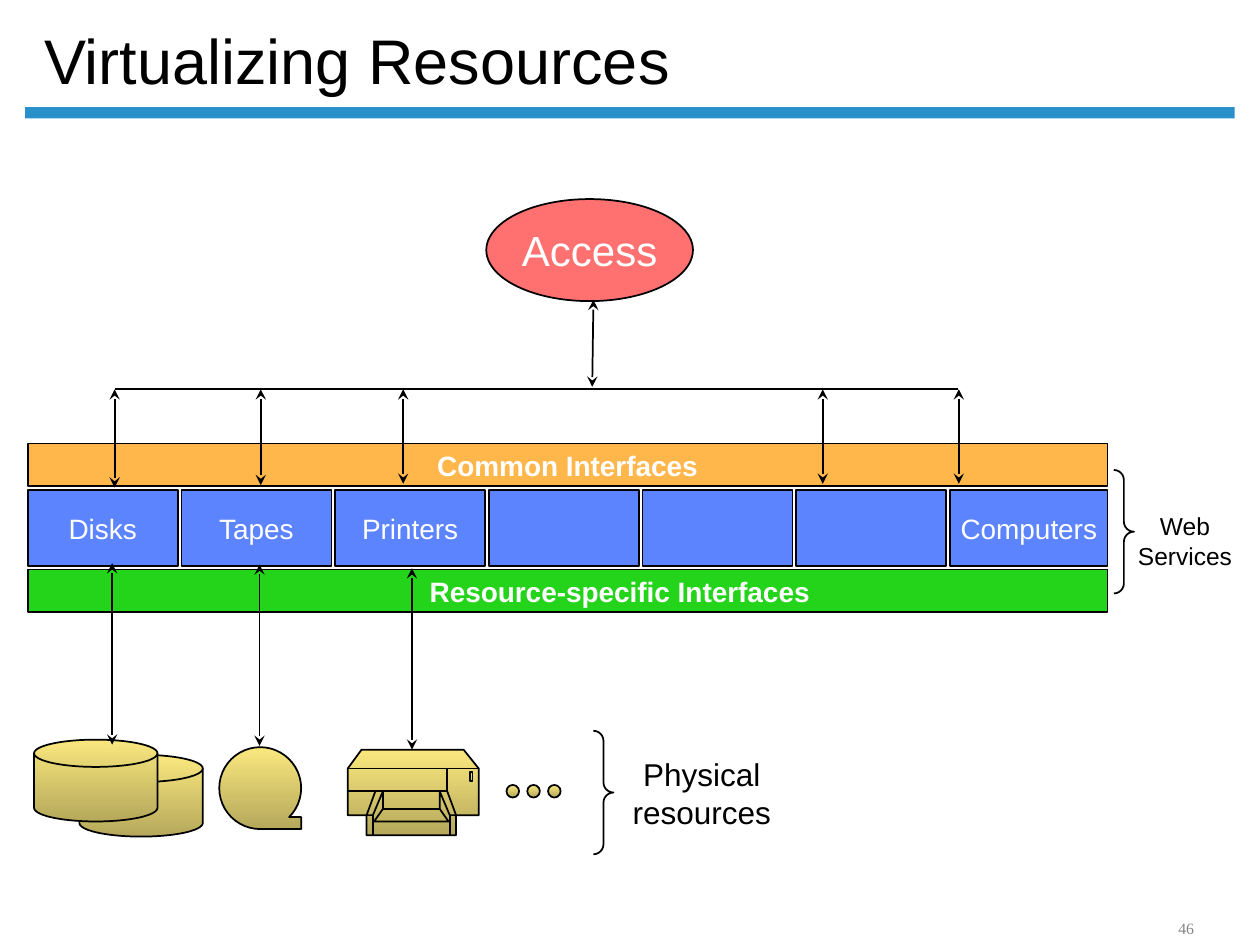
from dataclasses import dataclass
from lxml import etree
from pptx import Presentation
from pptx.dml.color import RGBColor
from pptx.enum.shapes import MSO_CONNECTOR, MSO_SHAPE as Shape
from pptx.enum.text import MSO_ANCHOR as Anchor, PP_ALIGN as Align
from pptx.oxml.ns import qn
from pptx.util import Inches, Pt


@dataclass(frozen=True)
class Theme:
    font: str = "Arial"
    number_font: str = "Times New Roman"
    black: str = "000000"
    white: str = "FFFFFF"
    gray: str = "848589"
    rule: str = "2990CA"
    access: str = "FF7171"
    common: str = "FFB64B"
    resource: str = "5D84FF"
    specific: str = "23D41A"
    device: tuple = ("FAE87E", "B5A85B")
    title_size: int = 36
    access_size: int = 24
    physical_size: int = 18
    label_size: int = 16
    services_size: int = 14
    number_size: int = 9
    line_width: int = 1


def rgb(value):
    return RGBColor.from_string(value)


class Diagram:
    def __init__(self, prs, theme):
        self.theme = theme
        self.slide = prs.slides.add_slide(prs.slide_layouts[5])
        self.shapes = self.slide.shapes

    def set_text(self, sp, text, size, color, bold=False, font=None, align=Align.CENTER,
                 anchor=Anchor.MIDDLE, wrap=True, insets=(0, 0, 0, 0)):
        tf = sp.text_frame
        tf.text = text
        sides = ("margin_left", "margin_top", "margin_right", "margin_bottom")
        frame = dict(zip(sides, map(Inches, insets)), word_wrap=wrap, vertical_anchor=anchor)
        for name, value in frame.items():
            setattr(tf, name, value)
        style = {"name": font or self.theme.font, "size": Pt(size), "bold": bold}
        for p in tf.paragraphs:
            p.alignment = align
            for r in p.runs:
                for name, value in style.items():
                    setattr(r.font, name, value)
                r.font.color.rgb = rgb(color)

    def title(self, text, box):
        sp = self.shapes.title
        for name, value in zip(("left", "top", "width", "height"), box):
            setattr(sp, name, Inches(value))
        self.set_text(sp, text, self.theme.title_size, self.theme.black, align=Align.LEFT,
                      anchor=Anchor.BOTTOM, insets=(0.1, 0.05, 0.1, 0.05))
        sp.text_frame.paragraphs[0].line_spacing = 0.9

    def paint(self, sp, fill, outline=True):
        sp.shadow.inherit = False
        if fill is None:
            sp.fill.background()
        elif isinstance(fill, tuple):
            sp.fill.gradient()
            sp.fill.gradient_angle = 270
            for stop, color in zip(sp.fill.gradient_stops, fill):
                stop.color.rgb = rgb(color)
        else:
            sp.fill.solid()
            sp.fill.fore_color.rgb = rgb(fill)
        if outline:
            sp.line.color.rgb = rgb(self.theme.black)
            sp.line.width = Pt(self.theme.line_width)
        else:
            sp.line.fill.background()

    def shape(self, kind, box, fill=None, outline=True):
        sp = self.shapes.add_shape(kind, *map(Inches, box))
        self.paint(sp, fill, outline)
        return sp

    def label(self, text, box, size, color, **style):
        sp = self.shapes.add_textbox(*map(Inches, box))
        self.set_text(sp, text, size, color, **style)

    def line(self, start, end, arrows=True):
        sp = self.shapes.add_connector(MSO_CONNECTOR.STRAIGHT, *map(Inches, start + end))
        sp.line.color.rgb = rgb(self.theme.black)
        sp.line.width = Pt(self.theme.line_width)
        sp_pr = sp._element.spPr
        if arrows:
            ln = sp_pr.find(qn("a:ln"))
            for tag in ("a:headEnd", "a:tailEnd"):
                etree.SubElement(ln, qn(tag), type="stealth")
        etree.SubElement(sp_pr, qn("a:effectLst"))

    def brace(self, left, top):
        sp = self.shape(Shape.RIGHT_BRACE, (left, top, 0.16, 0.98))
        sp.adjustments[0] = 0.5

    def outline(self, strokes, fill=None, close=False):
        builder = self.shapes.build_freeform(*map(Inches, strokes[0][0]), scale=1.0)
        for i, (start, *rest) in enumerate(strokes):
            if i:
                builder.move_to(*map(Inches, start))
            builder.add_line_segments([tuple(map(Inches, pt)) for pt in rest], close=close)
        self.paint(builder.convert_to_shape(), fill)

    def printer(self):
        body = [(2.87, 5.95), (3.68, 5.95), (3.8, 6.1), (3.8, 6.47), (3.62, 6.47),
                (3.62, 6.63), (2.91, 6.63), (2.91, 6.47), (2.76, 6.47), (2.76, 6.1)]
        details = [
            [(2.76, 6.1), (3.8, 6.1)],
            [(3.55, 6.1), (3.55, 6.28), (2.76, 6.28)],
            [(2.96, 6.47), (2.96, 6.63)],
            [(3.57, 6.47), (3.57, 6.63)],
            [(3.49, 6.42), (3.49, 6.28), (3.57, 6.47), (3.62, 6.47), (3.55, 6.28)],
            [(3.49, 6.42), (3.56, 6.52), (2.97, 6.52), (3.04, 6.42), (3.04, 6.28),
             (2.96, 6.47), (2.91, 6.47), (2.98, 6.28)],
            [(3.73, 6.13), (3.75, 6.13), (3.75, 6.2), (3.73, 6.2), (3.73, 6.13)],
            [(3.04, 6.42), (3.49, 6.42)],
        ]
        self.outline([body], self.theme.device, close=True)
        self.outline(details)


def main():
    prs = Presentation()
    prs.slide_width, prs.slide_height = Inches(10), Inches(7.5)
    t = Theme()
    d = Diagram(prs, t)

    d.shape(Shape.RECTANGLE, (0.2, 0.85, 9.6, 0.09), t.rule, outline=False)
    d.title("Virtualizing Resources", (0.25, 0.13, 8.56, 0.7))

    access = d.shape(Shape.OVAL, (3.86, 1.58, 1.64, 0.81), t.access)
    d.set_text(access, "Access", t.access_size, t.white)

    left, width = 0.22, 8.57
    specific = d.shape(Shape.RECTANGLE, (left, 4.52, width, 0.34), t.specific)
    d.set_text(specific, "Resource-specific Interfaces", t.label_size, t.white, bold=True,
               align=Align.LEFT, insets=(3.19, 0, 0, 0))
    common = d.shape(Shape.RECTANGLE, (left, 3.52, width, 0.34), t.common)
    d.set_text(common, "Common Interfaces", t.label_size, t.white, bold=True)

    names = ["Disks", "Tapes", "Printers", "", "", "", "Computers"]
    pitch, gap = 1.22, 0.03
    for i, name in enumerate(names):
        x = left + i * pitch
        w = left + width - x if name == names[-1] else pitch - gap
        cell = d.shape(Shape.RECTANGLE, (x, 3.89, w, 0.6), t.resource)
        if name:
            d.set_text(cell, name, t.label_size, t.white)

    for x, y in [(0.63, 5.99), (0.27, 5.87)]:
        d.shape(Shape.FLOWCHART_MAGNETIC_DISK, (x, y, 0.98, 0.65), t.device)
    d.shape(Shape.FLOWCHART_SEQUENTIAL_ACCESS_STORAGE, (1.74, 5.93, 0.65, 0.65), t.device)
    d.printer()
    for i in range(3):
        d.shape(Shape.OVAL, (4.02 + i * 0.165, 6.23, 0.1, 0.1), t.device)

    bus = 3.09
    d.line((0.91, bus), (7.6, bus), arrows=False)
    for x, bottom in [(0.91, 3.87), (2.07, 3.85), (3.2, 3.84), (6.53, 3.84), (7.61, 3.84)]:
        d.line((x, bus), (x, bottom))
    for x, top in [(0.89, 4.47), (2.06, 4.48), (3.27, 4.51)]:
        d.line((x, top), (x, top + 1.44))
    d.line((4.71, 2.38), (4.7, 3.07))

    d.brace(8.84, 3.73)
    d.brace(4.71, 5.8)
    d.label("Physical\nresources", (5.02, 5.99, 1.1, 0.6), t.physical_size, t.black,
            anchor=Anchor.TOP, wrap=False)
    d.label("Web\nServices", (9.03, 4.06, 0.75, 0.47), t.services_size, t.black,
            anchor=Anchor.TOP, wrap=False)
    d.label("46", (9, 7.25, 0.83, 0.24), t.number_size, t.gray, font=t.number_font,
            anchor=Anchor.BOTTOM, insets=(0.1, 0.05, 0.1, 0.05))

    prs.save("out.pptx")


if __name__ == "__main__":
    main()
